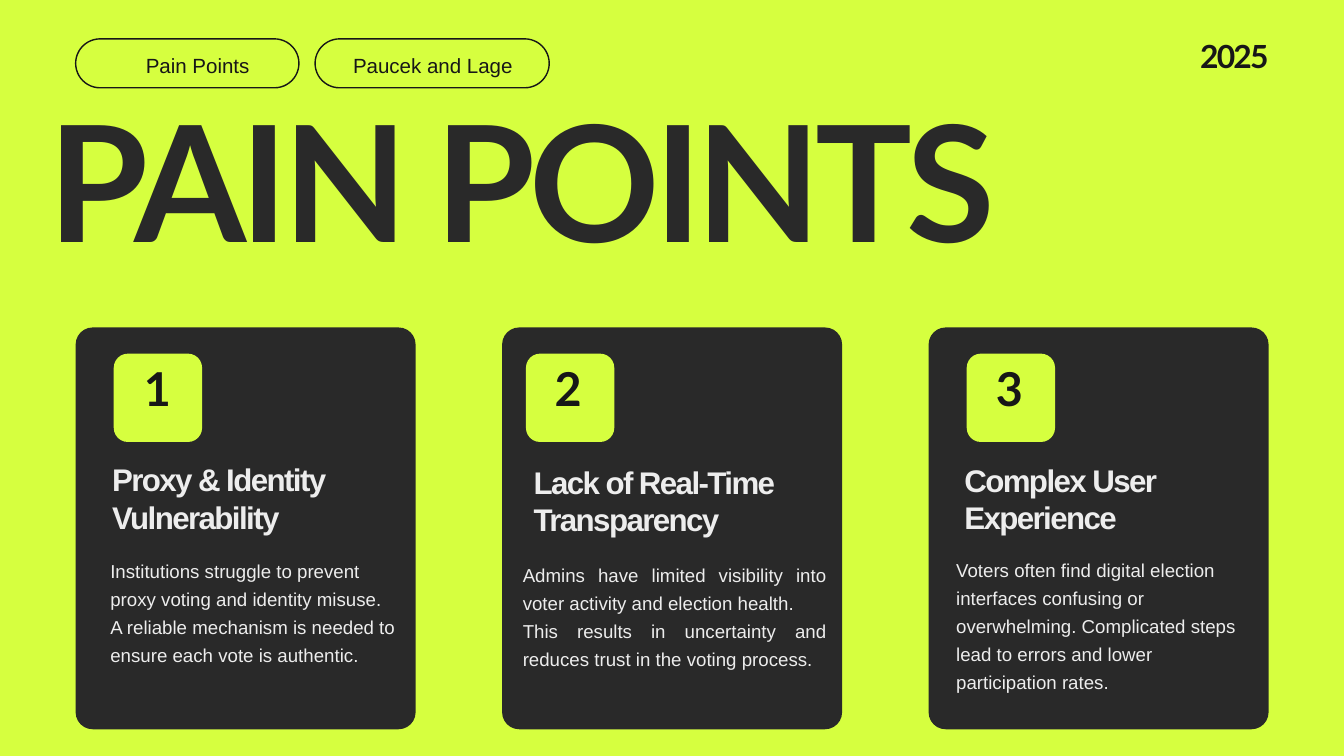
from pptx import Presentation
from pptx import util as u
from pptx.dml import color
from pptx.enum import shapes, text

LIME, DARK, INK, PALE = "D6FF3F", "292929", "171717", "EDEDED"
LEFT, RIGHT = text.PP_ALIGN.LEFT, text.PP_ALIGN.RIGHT
MID, JUST = text.PP_ALIGN.CENTER, text.PP_ALIGN.JUSTIFY

# Text styles: font, size, line pitch, colour, bold, letter spacing
TITLE = ("Lato", 173.2, 149, DARK, True, -6.2)
YEAR = ("Lato", 34.1, 29.4, INK, True, -1.9)
TAG = ("Arial", 22, 30.8, INK, False, 0)
NUM = ("Lato", 50, 60, INK, True, -2.5)
HEAD = ("Arial", 33.5, 40.2, PALE, True, -1.7)
BODY = ("Arial", 20, 30, PALE, False, 0)

# Cards: badge left, number left, heading place, body place and width,
# alignment, heading, body paragraphs
CARDS = [
    (4.3, 5.44, (4.24, 17.4), (4.17, 20.96, 10.8), LEFT,
     "Proxy & Identity Vulnerability",
     ["Institutions struggle to prevent proxy voting and identity misuse. "
      "A reliable mechanism is needed to ensure each vote is authentic."]),
    (19.88, 20.96, (20.17, 17.5), (19.76, 21.11, 11.48), JUST,
     "Lack of Real-Time Transparency",
     ["Admins have limited visibility into voter activity and election health.",
      "This results in uncertainty and reduces trust in the voting process."]),
    (36.54, 37.64, (36.45, 17.42), (36.14, 20.9, 10.95), LEFT,
     "Complex User Experience",
     ["Voters often find digital election interfaces confusing or overwhelming. "
      "Complicated steps lead to errors and lower participation rates."]),
]


def rgb(code):
    return color.RGBColor.from_string(code)


def write(frame, lines, style, align=LEFT):
    """Fill a text frame with one run per paragraph."""
    face, size, pitch, hue, bold, gap = style
    frame.word_wrap = True
    frame.auto_size = text.MSO_AUTO_SIZE.NONE
    frame.vertical_anchor = text.MSO_ANCHOR.TOP
    frame.margin_left = frame.margin_right = 0
    frame.margin_top = frame.margin_bottom = 0
    for i, line in enumerate(lines):
        para = frame.paragraphs[0] if i == 0 else frame.add_paragraph()
        para.alignment = align
        para.line_spacing = u.Pt(pitch)
        run = para.add_run()
        run.text = line
        font = run.font
        font.name, font.size, font.bold = face, u.Pt(size), bold
        font.color.rgb = rgb(hue)
        if gap:
            run._r.get_or_add_rPr().set("spc", str(round(gap * 100)))


def label(slide, x, y, w, h, lines, style, align=LEFT):
    box = slide.shapes.add_textbox(u.Cm(x), u.Cm(y), u.Cm(w), u.Cm(h))
    write(box.text_frame, lines, style, align)


def panel(slide, x, y, w, h, curve, fill=None, line=None):
    """Rounded box, either filled or outlined."""
    box = slide.shapes.add_shape(shapes.MSO_SHAPE.ROUNDED_RECTANGLE,
                                 u.Cm(x), u.Cm(y), u.Cm(w), u.Cm(h))
    box.adjustments[0] = curve
    box.shadow.inherit = False
    if fill:
        box.fill.solid()
        box.fill.fore_color.rgb = rgb(fill)
    else:
        box.fill.background()
    if line:
        box.line.color.rgb = rgb(line)
        box.line.width = u.Pt(1.5)
    else:
        box.line.fill.background()


def title(slide, words):
    box = slide.shapes.title
    box.left, box.top = u.Cm(1.83), u.Cm(5.13)
    box.width, box.height = u.Cm(44.96), u.Cm(6.73)
    write(box.text_frame, [words], TITLE)


def card(slide, x, parts):
    badge, num, head, body, align, name, lines = parts
    panel(slide, x, 12.38, 12.85, 15.19, 0.05, fill=DARK)
    panel(slide, badge, 13.37, 3.34, 3.34, 0.16, fill=LIME)
    label(slide, num, 13.61, 1.75, 2.44, [str(CARDS.index(parts) + 1)], NUM)
    label(slide, *head, 9.96, 2.82, [name], HEAD)
    label(slide, *body, 5.26, lines, BODY, align)


def main():
    deck = Presentation()
    deck.slide_width, deck.slide_height = u.Cm(50.8), u.Cm(28.58)
    slide = deck.slides.add_slide(deck.slide_layouts[5])
    slide.background.fill.solid()
    slide.background.fill.fore_color.rgb = rgb(LIME)

    # Header tags and year
    for x, w in ((2.86, 8.44), (11.91, 8.85)):
        panel(slide, x, 1.47, w, 1.85, 0.5, line=INK)
    label(slide, 5.51, 1.83, 5.79, 1.04, ["Pain Points"], TAG)
    label(slide, 12.17, 1.85, 8.38, 1.02, ["Paucek and Lage"], TAG, MID)
    label(slide, 41.55, 1.78, 6.4, 1.35, ["2025"], YEAR, RIGHT)

    title(slide, "PAIN POINTS")

    # Cards at an equal pitch
    for i, parts in enumerate(CARDS):
        card(slide, 2.86 + i * 16.12, parts)

    deck.save("out.pptx")


if __name__ == "__main__":
    main()
